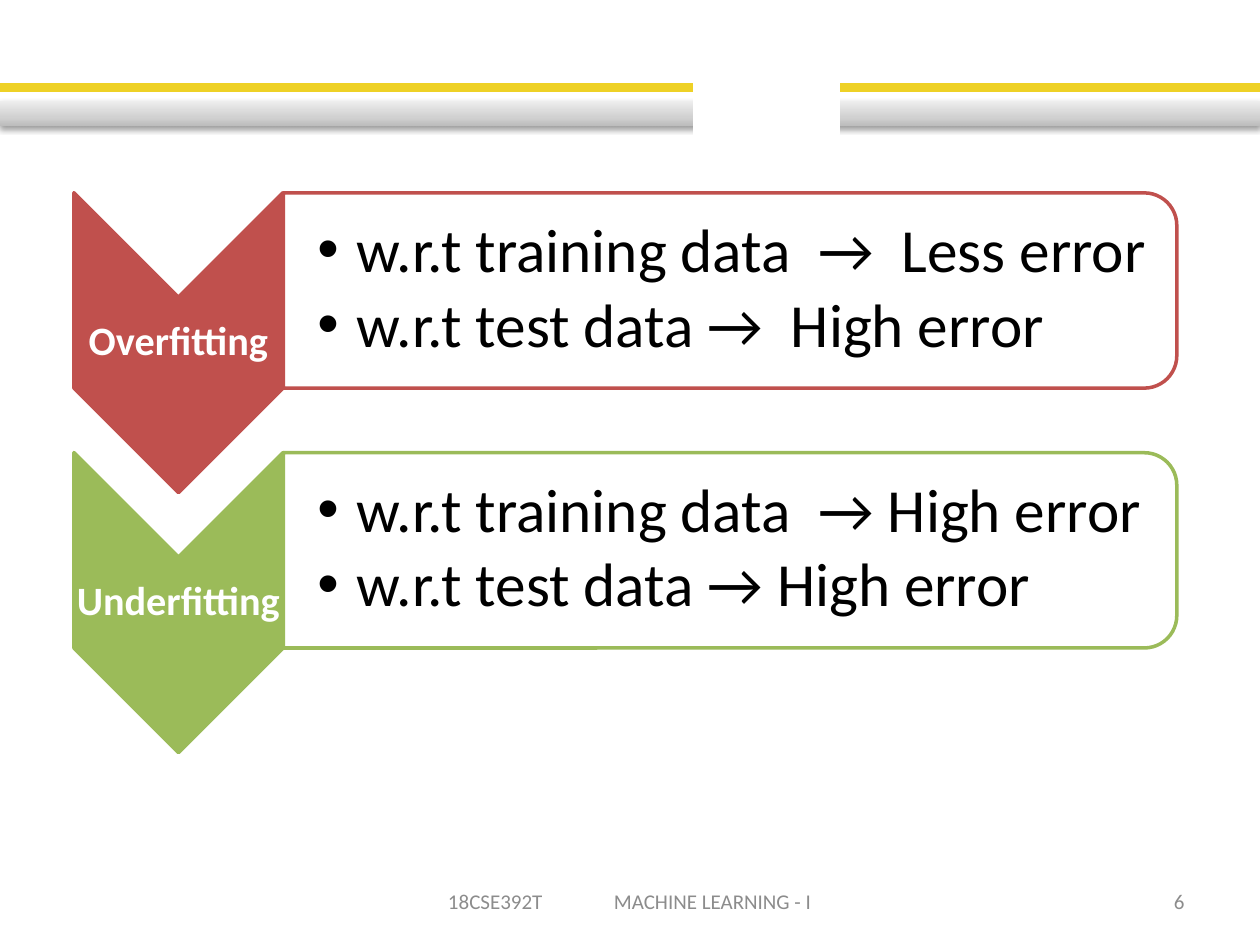
from pptx import Presentation
from pptx.dml.color import RGBColor as Rgb
from pptx.enum.shapes import MSO_SHAPE as Kind
from pptx.enum.text import MSO_ANCHOR as Anchor, MSO_AUTO_SIZE as Fit, PP_ALIGN as Align
from pptx.oxml import parse_xml
from pptx.util import Pt

HUES = {"gold": "EED126", "white": "FFFFFF", "grey": "8C8C8C",
        "black": "000000", "red": "C0504D", "green": "9BBB59",
        "low": "BDBDBD", "mid": "D1D1D1", "high": "EEEEEE"}
NS = 'xmlns:a="http://schemas.openxmlformats.org/drawingml/2006/main"'
STEP = 148.5
ROWS = [
    ("Overfitting", "red", ["w.r.t training data  →  Less error",
                            "w.r.t test data →  High error"]),
    ("Underfitting", "green", ["w.r.t training data  → High error",
                               "w.r.t test data → High error"]),
]


def hue(name):
    return Rgb.from_string(HUES[name])


def add_form(slide, kind, box, fill, line=None):
    form = slide.shapes.add_shape(kind, *map(Pt, box))
    form.fill.solid()
    form.fill.fore_color.rgb = hue(fill)
    if line:
        form.line.color.rgb = hue(line)
        form.line.width = Pt(2)
    else:
        form.line.fill.background()
    form.shadow.inherit = False
    return form


def add_turned(slide, kind, mid, size, fill, line):
    """Add a shape turned by 90 degrees about its centre."""
    (x, y), (wide, high) = mid, size
    form = add_form(slide, kind, (x - wide / 2, y - high / 2, wide, high), fill, line)
    form.rotation = 90
    return form


def fade(form):
    """Give the bar its upward gradient and soft shadow."""
    stops = "".join(
        f'<a:gs pos="{pos}"><a:srgbClr val="{HUES[name]}"/></a:gs>'
        for pos, name in ((0, "low"), (35000, "mid"), (100000, "high")))
    grad = parse_xml(f'<a:gradFill {NS} rotWithShape="1"><a:gsLst>{stops}</a:gsLst>'
                     '<a:lin ang="16200000" scaled="0"/></a:gradFill>')
    glow = parse_xml(f'<a:outerShdw {NS} blurRad="{Pt(3.1)}" dist="{Pt(1.6)}" '
                     'dir="5400000" rotWithShape="0"><a:srgbClr val="000000">'
                     '<a:alpha val="38000"/></a:srgbClr></a:outerShdw>')
    props = form._element.spPr
    props.replace(props.find("{*}solidFill"), grad)
    props.find("{*}effectLst").append(glow)


def set_text(frame, lines, font, para, pads):
    look = {"word_wrap": True, "auto_size": Fit.NONE,
            "vertical_anchor": Anchor.MIDDLE}
    sides = ("margin_left", "margin_top", "margin_right", "margin_bottom")
    look.update(zip(sides, map(Pt, pads)))
    for key, val in look.items():
        setattr(frame, key, val)
    frame.text = "\n".join(lines)
    for part in frame.paragraphs:
        for key, val in para.items():
            setattr(part, key, val)
        face = part.runs[0].font
        face.name, face.size = "Calibri", Pt(font["size"])
        face.bold, face.color.rgb = font.get("bold", False), hue(font["hue"])


def add_label(slide, box, text, font, para, pads=(7.2, 3.6, 7.2, 3.6)):
    label = slide.shapes.add_textbox(*map(Pt, box))
    set_text(label.text_frame, [text], font, para, pads)
    return label


def fill_list(slide, body, box, lines):
    for key, val in zip(("left", "top", "width", "height"), box):
        setattr(body, key, Pt(val))
    set_text(body.text_frame, lines, {"size": 35, "hue": "black"},
             {"line_spacing": 0.9, "space_before": Pt(0), "space_after": Pt(5)},
             (19.4, 1.4, 1.4, 1.4))
    for part in body.text_frame.paragraphs:
        props = part._p.get_or_add_pPr()
        props.set("marL", str(Pt(22.5)))
        props.set("indent", str(-Pt(22.5)))
        props.append(parse_xml(f'<a:buFont {NS} typeface="Arial"/>'))
        props.append(parse_xml(f'<a:buChar {NS} char="•"/>'))
    slide.shapes._spTree.append(body._element)


def add_band(slide):
    add_form(slide, Kind.RECTANGLE, (0, 48.2, 720, 3.6), "gold", "gold")
    fade(add_form(slide, Kind.RECTANGLE, (0, 57.6, 720, 14.4), "high"))
    add_form(slide, Kind.ROUNDED_RECTANGLE, (396, 36, 84, 48), "white")


def add_foot(slide):
    font = {"size": 12, "hue": "grey"}
    add_label(slide, (516, 500.5, 168, 28.8), "6", font, {"alignment": Align.RIGHT})
    note = add_label(slide, (246, 500.5, 228, 28.8), "18CSE392T\tMACHINE LEARNING - I",
                     font, {"alignment": Align.LEFT}, (10, 3.6, 0, 3.6))
    note.text_frame.paragraphs[0]._p.get_or_add_pPr().append(parse_xml(
        f'<a:tabLst {NS}><a:tab pos="{Pt(94.8)}" algn="l"/></a:tabLst>'))


def add_row(slide, body, down, name, tone, lines):
    add_turned(slide, Kind.CHEVRON, (102, 195.8 + down), (171.4, 119.5), tone, tone)
    add_label(slide, (42, 170 + down, 120, 51), name,
              {"size": 23, "hue": "white", "bold": True},
              {"alignment": Align.CENTER, "line_spacing": 0.9}, (1.4,) * 4)
    card = add_turned(slide, Kind.ROUND_2_SAME_RECTANGLE, (417.2, 166 + down),
                      (111.6, 510.5), "white", tone)
    card._element.spPr.find("{*}solidFill")[0].append(
        parse_xml(f'<a:alpha {NS} val="90000"/>'))
    fill_list(slide, body, (162, 115.2 + down, 504.7, 100.8), lines)


def main():
    deck = Presentation()
    deck.slide_width, deck.slide_height = Pt(720), Pt(540)
    slide = deck.slides.add_slide(deck.slide_layouts[3])
    title, *lists = slide.placeholders
    title._element.getparent().remove(title._element)
    add_band(slide)
    add_foot(slide)
    for i, (body, row) in enumerate(zip(lists, ROWS)):
        add_row(slide, body, i * STEP, *row)
    deck.save("out.pptx")


if __name__ == "__main__":
    main()
